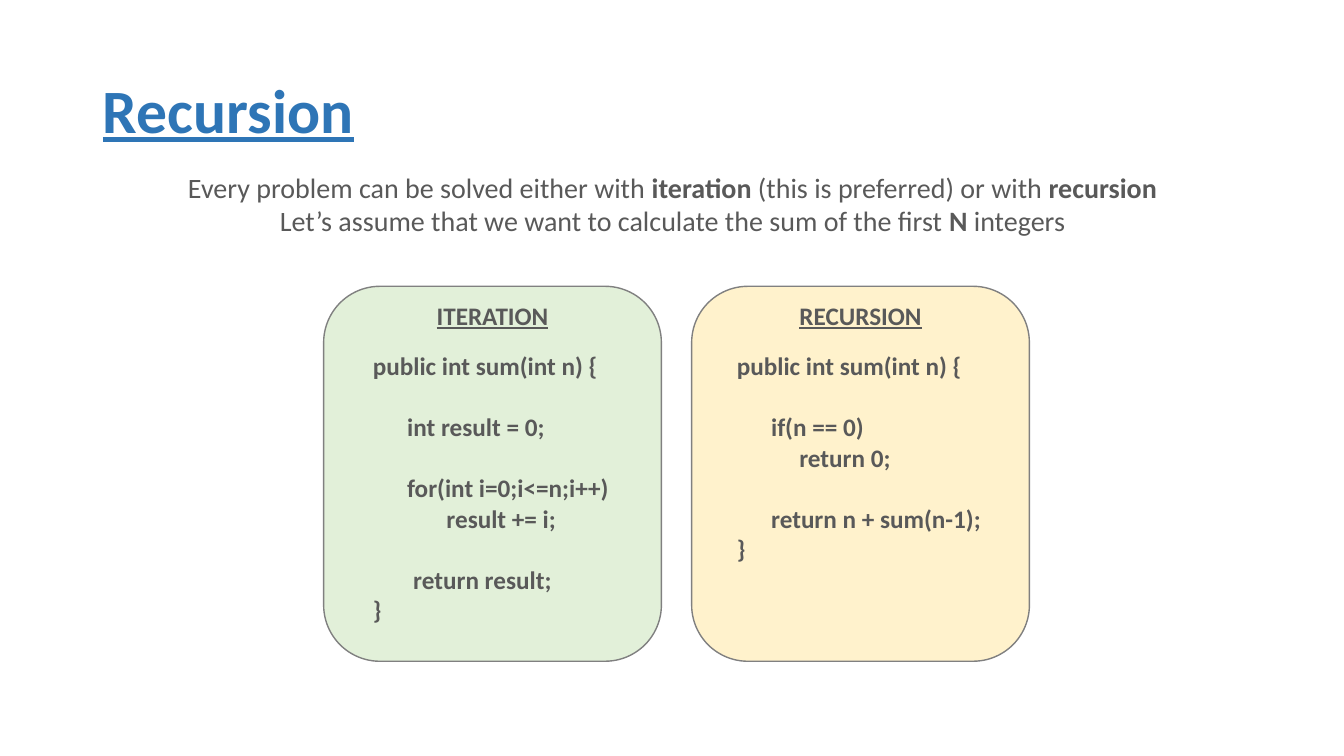
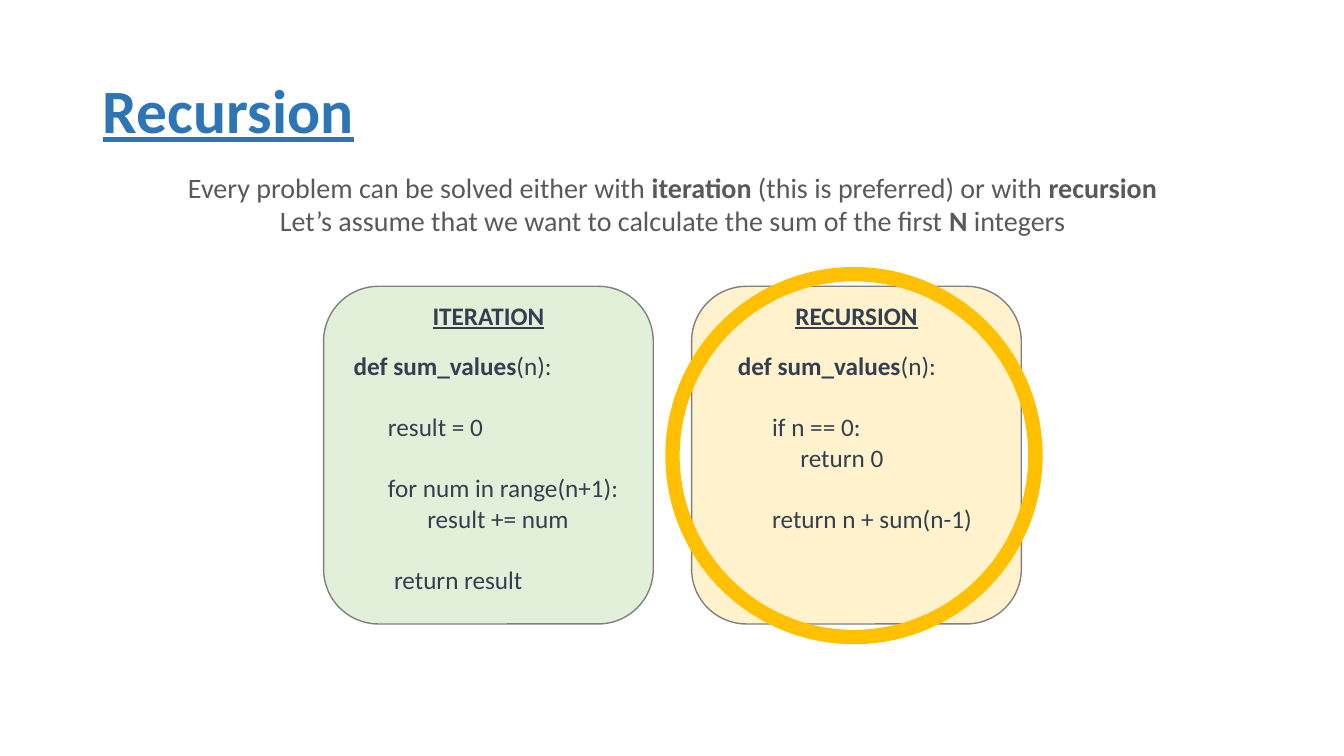
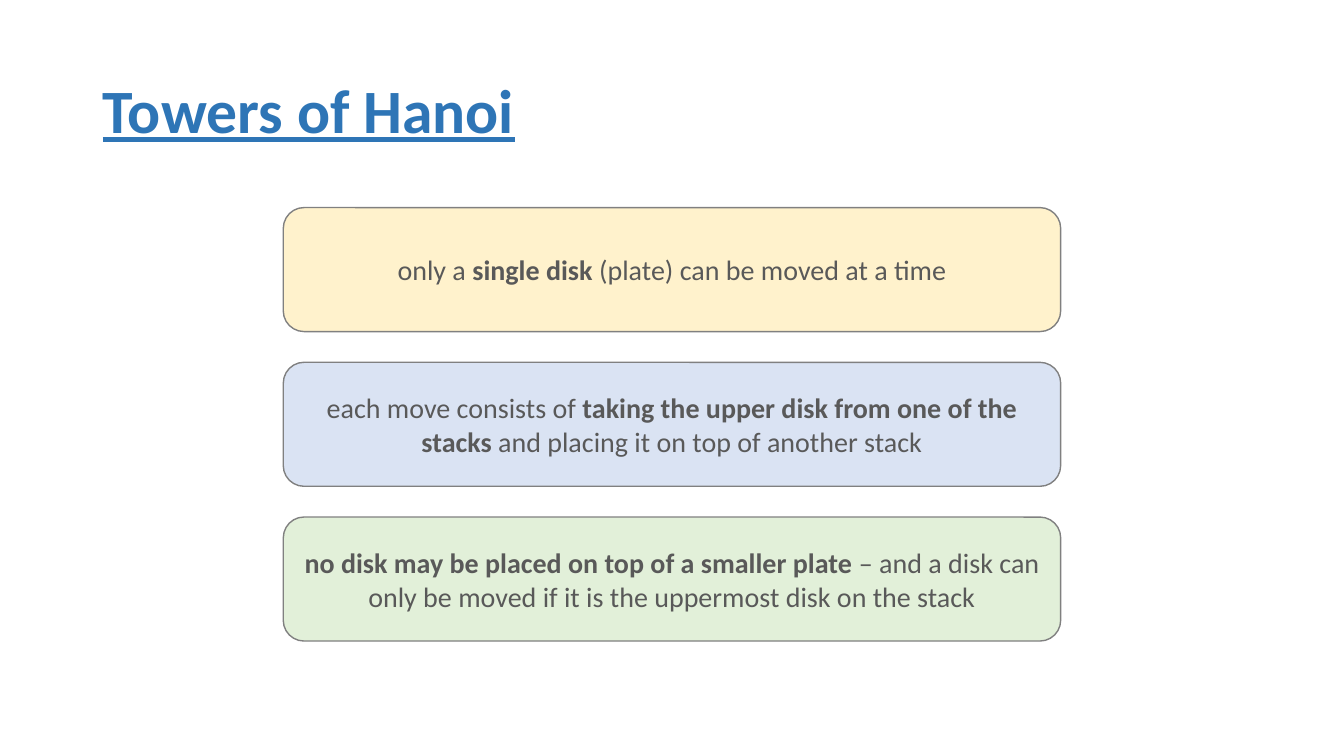
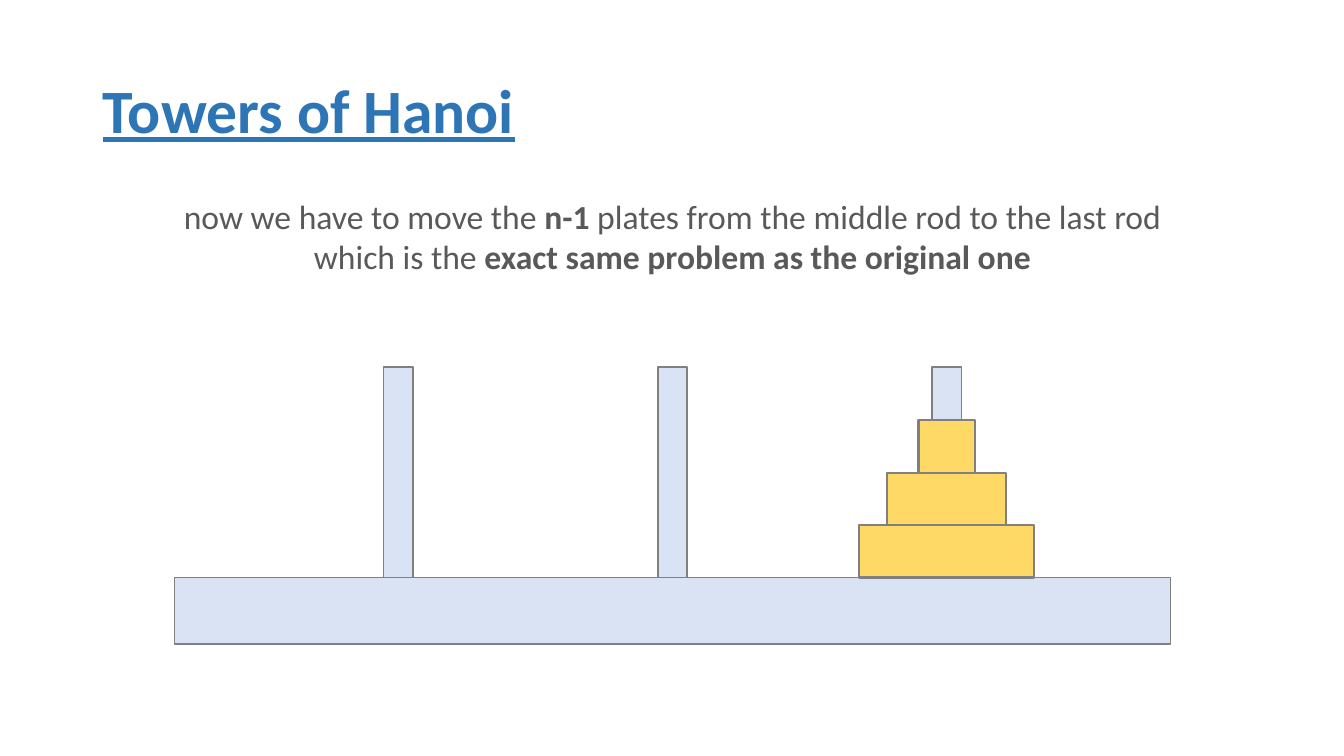
from dataclasses import dataclass
from pptx import Presentation
from pptx.dml.color import RGBColor
from pptx.enum.shapes import MSO_SHAPE
from pptx.enum.text import MSO_ANCHOR, MSO_AUTO_SIZE, PP_ALIGN
from pptx.util import Inches, Pt


@dataclass(frozen=True)
class Theme:
    font: str = "Calibri"
    title: str = "2E75B6"
    grey: str = "595959"
    navy: str = "333F50"
    outline: str = "808080"
    green: str = "E2F0D9"
    cream: str = "FFF2CC"
    blue: str = "DAE3F3"
    disk: str = "FFD966"
    ring: str = "FFC000"
    title_pt: int = 44
    lead_pt: int = 24
    body_pt: int = 20
    code_pt: int = 18
    code_line_pt: int = 22


T = Theme()
INTRO = [
    "Every problem can be solved either with **iteration** (this is preferred) or with **recursion**",
    "Let’s assume that we want to calculate the sum of the first **N** integers",
]
STEP, LOOP, BRANCH, RESULT = 0.34, 0.73, 0.62, 0.4


def set_all(obj, values):
    for name, value in values.items():
        setattr(obj, name, value)


def write(p, text, size, color, **extra):
    for i, part in enumerate(text.split("**")):
        if part:
            r = p.add_run()
            r.text = part
            set_all(r.font, {"name": T.font, "size": Pt(size), "bold": i % 2 == 1, **extra})
            r.font.color.rgb = RGBColor.from_string(color)


def paragraphs(tf, lines):
    for i, line in enumerate(lines):
        yield (tf.add_paragraph() if i else tf.paragraphs[0]), line


def text_box(s, x, y, w, h):
    tf = s.shapes.add_textbox(*map(Inches, (x, y, w, h))).text_frame
    tf.word_wrap = True
    return tf


def centred_text(s, box, lines, size, color, **extra):
    for p, line in paragraphs(text_box(s, *box), lines):
        p.alignment = PP_ALIGN.CENTER
        write(p, line, size, color, **extra)


def add_shape(s, kind, box, fill=None, line=T.outline, weight=1):
    sp = s.shapes.add_shape(kind, *map(Inches, box))
    sp.shadow.inherit = False
    if fill:
        sp.fill.solid()
        sp.fill.fore_color.rgb = RGBColor.from_string(fill)
    else:
        sp.fill.background()
    sp.line.color.rgb = RGBColor.from_string(line)
    sp.line.width = Pt(weight)
    return sp


def titled_slide(prs, title):
    s = prs.slides.add_slide(prs.slide_layouts[5])
    sp = s.shapes.title
    set_all(sp, dict(zip(("left", "top", "width", "height"), map(Inches, (0.92, 0.4, 11.5, 1.45)))))
    tf = sp.text_frame
    set_all(tf, {"word_wrap": True, "auto_size": MSO_AUTO_SIZE.NONE, "vertical_anchor": MSO_ANCHOR.MIDDLE})
    p = tf.paragraphs[0]
    set_all(p, {"alignment": PP_ALIGN.LEFT, "line_spacing": 0.9})
    write(p, f"**{title}**", T.title_pt, T.title, underline=True)
    return s


def code_card(s, box, heading, fill, color, inset, lines):
    x, y, w, h = box
    add_shape(s, MSO_SHAPE.ROUNDED_RECTANGLE, box, fill)
    centred_text(s, (x, y + 0.09, w, 0.4), [f"**{heading}**"], T.code_pt, color, underline=True)
    tf = text_box(s, x + inset, y + 0.59, w - inset, h - 0.8)
    for p, (text, indent, blank_lines) in paragraphs(tf, lines):
        p._p.get_or_add_pPr().set("marL", str(Inches(indent)))
        p.space_before = Pt(blank_lines * T.code_line_pt)
        write(p, text, T.code_pt, color)


def comparison_slide(prs, size, color, iteration, recursion):
    s = titled_slide(prs, "Recursion")
    centred_text(s, (0.92, 1.64, 11.5, 0.77), INTRO, T.body_pt, T.grey)
    cards = (("ITERATION", T.green, iteration), ("RECURSION", T.cream, recursion))
    for i, (heading, fill, (inset, lines)) in enumerate(cards):
        box = (3.21 + 3.65 * i, 2.84, *size)
        code_card(s, box, heading, fill, color, inset, lines)
    return s, box


def java_slide(prs):
    iteration = [
        ("**public int sum(int n) {**", 0, 0),
        ("**int result = 0;**", STEP, 1),
        ("**for(int i=0;i<=n;i++)**", STEP, 1),
        ("**result += i;**", LOOP, 0),
        ("**return result;**", RESULT, 1),
        ("**}**", 0, 0),
    ]
    recursion = [
        ("**public int sum(int n) {**", 0, 0),
        ("**if(n == 0)**", STEP, 1),
        ("**return 0;**", BRANCH, 0),
        ("**return n + sum(n-1);**", STEP, 1),
        ("**}**", 0, 0),
    ]
    comparison_slide(prs, (3.35, 3.72), T.grey, (0.39, iteration), (0.35, recursion))


def python_slide(prs):
    iteration = [
        ("**def sum_values**(n):", 0, 0),
        ("result = 0", STEP, 1),
        ("for num in range(n+1):", STEP, 1),
        ("result += num", LOOP, 0),
        ("return result", RESULT, 1),
    ]
    recursion = [
        ("**def sum_values**(n):", 0, 0),
        ("if n == 0:", STEP, 1),
        ("return 0", BRANCH, 0),
        ("return n + sum(n-1)", STEP, 1),
    ]
    s, (x, y, w, h) = comparison_slide(prs, (3.27, 3.35), T.navy, (0.2, iteration), (0.36, recursion))
    add_shape(s, MSO_SHAPE.OVAL, (x - 0.19, y - 0.12, 3.6, 3.6), None, T.ring, 10.25)


def rules_slide(prs):
    s = titled_slide(prs, "Towers of Hanoi")
    rules = [
        ("only a **single disk** (plate) can be moved at a time", T.cream),
        ("each move consists of **taking the upper disk from one of the stacks** "
         "and placing it on top of another stack", T.blue),
        ("**no disk may be placed on top of a smaller plate** "
         "– and a disk can only be moved if it is the uppermost disk on the stack", T.green),
    ]
    for i, (text, fill) in enumerate(rules):
        sp = add_shape(s, MSO_SHAPE.ROUNDED_RECTANGLE, (2.81, 2.06 + 1.535 * i, 7.71, 1.23), fill)
        tf = sp.text_frame
        set_all(tf, {"word_wrap": True, "vertical_anchor": MSO_ANCHOR.MIDDLE})
        p = tf.paragraphs[0]
        p.alignment = PP_ALIGN.CENTER
        write(p, text, T.body_pt, T.grey)


def hanoi_towers(s, box):
    x, y, w, h = box
    board_h, rod_w, disk_h, rod_gap = 0.66, 0.29, 0.52, 2.72
    board_top = y + h - board_h
    middle = x + w / 2
    add_shape(s, MSO_SHAPE.RECTANGLE, (x, board_top, w, board_h), T.blue)
    for i in (-1, 0, 1):
        rod = (middle + i * rod_gap - rod_w / 2, y, rod_w, h - board_h)
        add_shape(s, MSO_SHAPE.RECTANGLE, rod, T.blue)
    for i, disk_w in enumerate((1.74, 1.18, 0.56), 1):
        disk = (middle + rod_gap - disk_w / 2, board_top - i * disk_h, disk_w, disk_h)
        add_shape(s, MSO_SHAPE.RECTANGLE, disk, T.disk, weight=1.5)


def towers_slide(prs):
    s = titled_slide(prs, "Towers of Hanoi")
    hanoi_towers(s, (1.73, 3.64, 9.88, 2.75))
    lines = [
        "now we have to move the **n-1** plates from the middle rod to the last rod",
        "which is the **exact same problem as the original one**",
    ]
    centred_text(s, (0.92, 1.89, 11.5, 0.91), lines, T.lead_pt, T.grey)


def main():
    prs = Presentation()
    set_all(prs, {"slide_width": Inches(13.33), "slide_height": Inches(7.5)})
    for build in (java_slide, python_slide, rules_slide, towers_slide):
        build(prs)
    prs.save("out.pptx")


if __name__ == "__main__":
    main()
